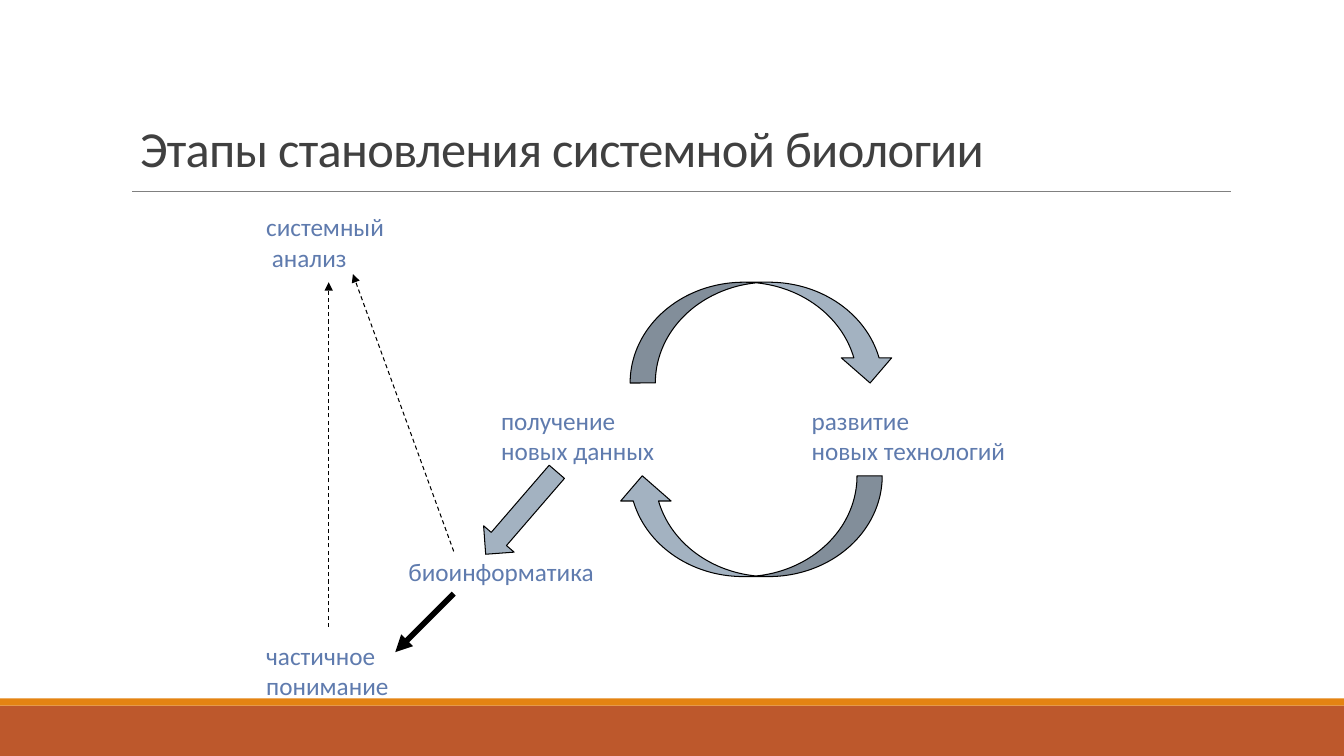
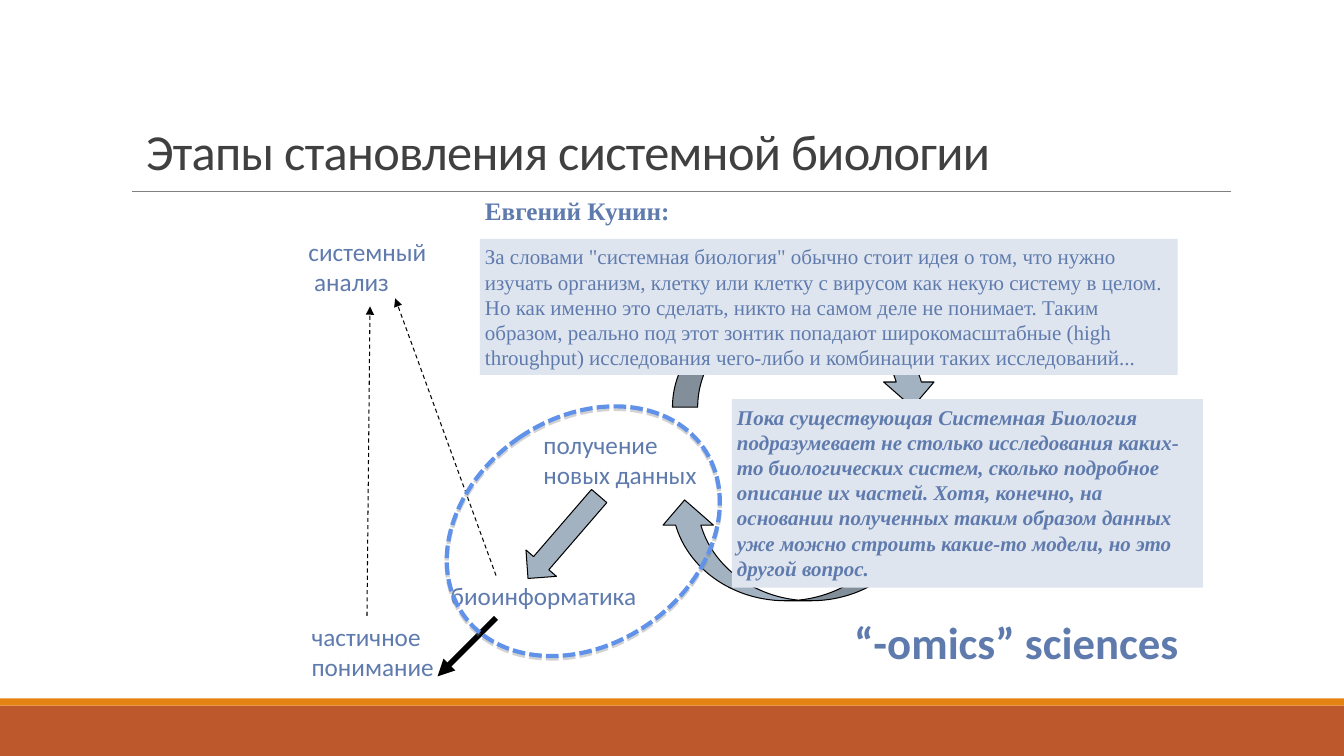
from dataclasses import dataclass

from lxml.etree import SubElement
from pptx import Presentation
from pptx.dml.color import RGBColor
from pptx.enum.dml import MSO_LINE as Dash
from pptx.enum.shapes import MSO_CONNECTOR as Connector, MSO_SHAPE as Shape
from pptx.enum.text import MSO_ANCHOR as Anchor, MSO_AUTO_SIZE as AutoSize, PP_ALIGN as Align
from pptx.oxml.ns import qn
from pptx.util import Inches, Pt


@dataclass(frozen=True)
class Theme:
    """Colours, fonts and sizes shared by the slides."""

    footer: str = "BD582C"
    stripe: str = "E48312"
    rule: str = "808080"
    title: str = "404040"
    text: str = "5F7BAE"
    arrow: str = "A3B2C1"
    outline: str = "000000"
    highlight: str = "6192E9"
    shadow: str = "808080"
    quote_fill: str = "DFE5EF"
    sans: str = "Calibri"
    serif: str = "Times New Roman"
    title_size: float = 36
    slogan_size: float = 32
    label_size: float = 18
    quote_size: float = 15
    quote_leading: float = 18
    hairline: float = 0.5
    thin: float = 0.75
    medium: float = 3
    thick: float = 4


THEME = Theme()
TITLE = "Этапы становления системной биологии"
SYSTEMS_QUOTE = (
    'За словами "системная биология" обычно стоит идея о том, что нужно изучать организм, '
    "клетку или клетку с вирусом как некую систему в целом. Но как именно это сделать, "
    "никто на самом деле не понимает. Таким образом, реально под этот зонтик попадают "
    "широкомасштабные (high throughput) исследования чего-либо и комбинации таких исследований..."
)
PARTS_QUOTE = (
    "Пока существующая Системная Биология подразумевает не столько исследования каких-то "
    "биологических систем, сколько подробное описание их частей. Хотя, конечно, на основании "
    "полученных таким образом данных уже можно строить какие-то модели, но это другой вопрос."
)


def rgb(value):
    """Turn a hex string into a colour."""
    return RGBColor.from_string(value)


def box(left, top, width, height):
    """Turn four numbers into lengths."""
    return [Inches(value) for value in (left, top, width, height)]


def style_line(line, color, width, dash=None):
    """Set the colour, width and dash of a line."""
    line.color.rgb = rgb(color)
    line.width = Pt(width)
    if dash is not None:
        line.dash_style = dash


def add_preset(slide, kind, place, fill=None, outline=None, rotation=0):
    """Add a preset shape without a theme shadow."""
    shape = slide.shapes.add_shape(kind, *box(*place))
    shape.shadow.inherit = False
    shape.rotation = rotation
    if fill:
        shape.fill.solid()
        shape.fill.fore_color.rgb = rgb(fill)
    else:
        shape.fill.background()
    if outline:
        style_line(shape.line, outline, THEME.thin)
    else:
        shape.line.fill.background()
    return shape


def add_line(slide, start, end, width=THEME.thin, color=THEME.outline, dash=None, arrow=True):
    """Add a straight line, by default with an arrowhead at its end."""
    points = [Inches(value) for value in (*start, *end)]
    connector = slide.shapes.add_connector(Connector.STRAIGHT, *points)
    style_line(connector.line, color, width, dash)
    properties = connector.element.spPr
    SubElement(properties, qn("a:effectLst"))
    if arrow:
        SubElement(properties.find(qn("a:ln")), qn("a:tailEnd"), type="triangle")


def write(shape, lines, size, font=THEME.sans, color=THEME.text, bold=False, italic=False):
    """Write one left-aligned paragraph per line."""
    frame = shape.text_frame
    for index, line in enumerate(lines):
        paragraph = frame.add_paragraph() if index else frame.paragraphs[0]
        paragraph.alignment = Align.LEFT
        run = paragraph.add_run()
        run.text = line
        run.font.size = Pt(size)
        run.font.name = font
        run.font.bold = bold
        run.font.italic = italic
        run.font.color.rgb = rgb(color)
    return frame


def set_frame(frame, wrap):
    """Give a text frame narrow margins and let it grow."""
    frame.margin_left = frame.margin_right = Inches(0.05)
    frame.margin_top = frame.margin_bottom = Inches(0.05)
    frame.vertical_anchor = Anchor.TOP
    frame.word_wrap = wrap
    frame.auto_size = AutoSize.SHAPE_TO_FIT_TEXT


def add_label(slide, place, *lines, size=THEME.label_size, **style):
    """Add an unwrapped label."""
    shape = slide.shapes.add_textbox(*box(*place))
    set_frame(write(shape, lines, size, **style), wrap=False)


def add_quote(slide, place, text, emphasis=False):
    """Add a quotation on a pale panel."""
    shape = add_preset(slide, Shape.RECTANGLE, place, THEME.quote_fill)
    frame = write(shape, [text], THEME.quote_size, THEME.serif, bold=emphasis, italic=emphasis)
    set_frame(frame, wrap=True)
    frame.paragraphs[0].line_spacing = Pt(THEME.quote_leading)


def add_base(presentation, left, top):
    """Add a slide with the shared bands, rule and title."""
    slide = presentation.slides.add_slide(presentation.slide_layouts[6])
    add_preset(slide, Shape.RECTANGLE, (0, 7, 13.33, 0.5), THEME.footer)
    add_preset(slide, Shape.RECTANGLE, (0, 6.93, 13.33, 0.07), THEME.stripe)
    add_line(slide, (1.31, 1.9), (12.21, 1.9), THEME.hairline, THEME.rule, arrow=False)
    title = slide.shapes.add_textbox(*box(left, top, 9.32, 1.32))
    frame = write(title, [TITLE], THEME.title_size, color=THEME.title)
    frame.word_wrap = True
    frame.vertical_anchor = Anchor.BOTTOM
    frame.paragraphs[0].line_spacing = 0.85
    for properties in title.element.iter(qn("a:rPr")):
        properties.set("spc", "-50")
    return slide


def add_diagram(slide, understanding, rise, shift=(0, 0)):
    """Add the stages, moved as a whole by the shift."""

    def at(left, top, *size):
        return (round(left + shift[0], 2), round(top + shift[1], 2), *size)

    add_label(slide, at(4.92, 3.97, 1.75, 0.71), "получение", "новых данных")
    for left, top, rotation in ((6.25, 2.8, 0), (6.12, 4.72, 180)):
        place = at(left, top, 2.63, 1)
        add_preset(slide, Shape.CURVED_DOWN_ARROW, place, THEME.arrow, THEME.outline, rotation)
    add_label(slide, at(2.59, 2.05, 1.4, 0.71), "системный", " анализ")
    add_label(slide, (*understanding, 1.45, 0.71), "частичное", "понимание")
    add_line(slide, at(4.5, 5.89), at(3.92, 6.47), THEME.thick)
    add_line(slide, *rise, dash=Dash.DASH)
    add_label(slide, at(4, 5.47, 2.19, 0.4), "биоинформатика")
    place = at(4.63, 4.89, 1.08, 0.4)
    add_preset(slide, Shape.LEFT_ARROW, place, THEME.arrow, THEME.outline, 310.8)
    add_line(slide, at(4.5, 5.47), at(3.5, 2.72), dash=Dash.DASH)


def add_highlight(slide, place, rotation):
    """Add a dashed ellipse with a soft grey shadow."""
    ellipse = add_preset(slide, Shape.OVAL, place, rotation=rotation)
    style_line(ellipse.line, THEME.highlight, THEME.medium, Dash.SQUARE_DOT)
    effects = ellipse.element.spPr.find(qn("a:effectLst"))
    shadow = SubElement(
        effects, qn("a:outerShdw"), blurRad="0", dist=str(Pt(1.8)), dir="5400000", rotWithShape="0"
    )
    color = SubElement(shadow, qn("a:srgbClr"), val=THEME.shadow)
    SubElement(color, qn("a:alpha"), val="35000")


def add_stages_slide(presentation):
    """Add the slide with the complete cycle."""
    slide = add_base(presentation, 1.29, 0.49)
    add_diagram(slide, (2.59, 6.3), ((3.26, 6.22), (3.26, 2.8)))
    add_label(slide, (8, 3.97, 2.24, 0.71), "развитие", "новых технологий")


def add_opinion_slide(presentation):
    """Add the slide with the quotations over the cycle."""
    slide = add_base(presentation, 1.35, 0.52)
    add_diagram(slide, (3.04, 6.11), ((3.64, 6.11), (3.67, 3.04)), (0.42, 0.24))
    add_highlight(slide, (4.66, 3.82, 2.25, 2.9), 55.5)
    add_label(slide, (8.42, 6.05, 3.35, 0.64), "“-omics” sciences", size=THEME.slogan_size, bold=True)
    add_quote(slide, (4.76, 2.37, 6.92, 1.35), SYSTEMS_QUOTE)
    add_quote(slide, (7.26, 3.96, 4.67, 1.87), PARTS_QUOTE, emphasis=True)
    add_label(slide, (4.76, 1.89, 1.96, 0.4), "Евгений Кунин:", font=THEME.serif, bold=True)


def main():
    """Build and save the presentation."""
    presentation = Presentation()
    presentation.slide_width = Inches(13.33)
    presentation.slide_height = Inches(7.5)
    add_stages_slide(presentation)
    add_opinion_slide(presentation)
    presentation.save("out.pptx")


if __name__ == "__main__":
    main()
